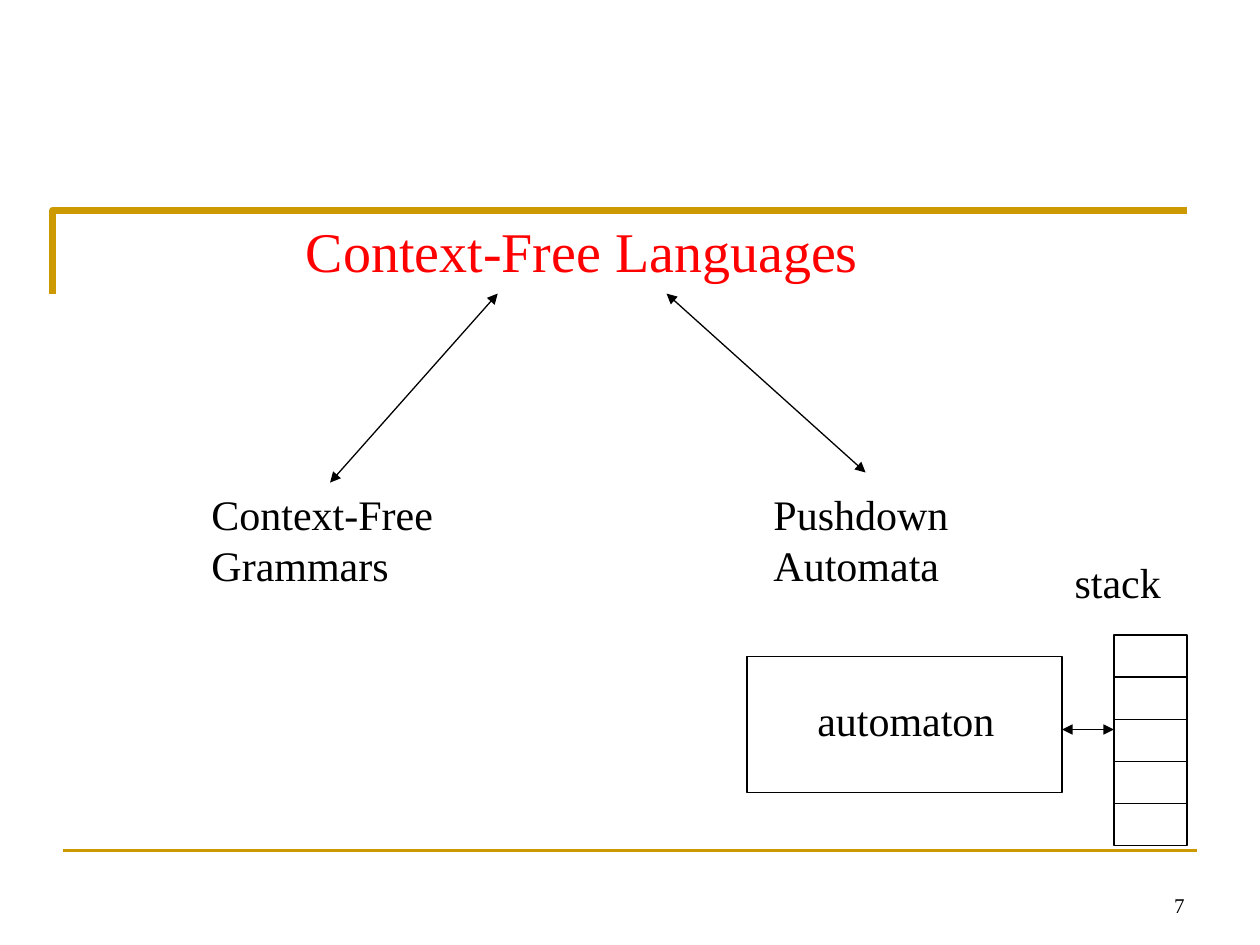
from dataclasses import dataclass

from pptx import Presentation
from pptx.dml.color import RGBColor
from pptx.enum import shapes, text
from pptx.oxml.ns import qn
from pptx.util import Inches, Pt
from lxml import etree


@dataclass(frozen=True)
class Theme:
    font: str = "Times New Roman"
    ink: str = "000000"
    gold: str = "CC9900"
    red: str = "FF0000"
    title: float = 32
    body: float = 24
    small: float = 12
    thin: float = 0.75


@dataclass(frozen=True)
class Box:
    x: float
    y: float
    w: float
    h: float

    def emu(self) -> list:
        return [Inches(v) for v in (self.x, self.y, self.w, self.h)]


@dataclass(frozen=True)
class Line:
    x1: float
    y1: float
    x2: float
    y2: float


T = Theme()


def style_line(sp, color: str = T.ink, width: float = T.thin) -> None:
    sp.line.color.rgb = RGBColor.from_string(color)
    sp.line.width = Pt(width)


def add_text(slide, box: Box, content: str, *, size: float = T.body, color: str = T.ink,
             align=text.PP_ALIGN.LEFT, anchor=text.MSO_ANCHOR.TOP) -> None:
    tf = slide.shapes.add_textbox(*box.emu()).text_frame
    tf.word_wrap = True
    tf.vertical_anchor = anchor
    tf.text = content
    for p in tf.paragraphs:
        p.alignment = align
        for r in p.runs:
            r.font.name, r.font.size = T.font, Pt(size)
            r.font.color.rgb = RGBColor.from_string(color)


def add_line(slide, line: Line, *, color: str = T.ink, width: float = T.thin,
             arrows: bool = False) -> None:
    ends = [Inches(v) for v in (line.x1, line.y1, line.x2, line.y2)]
    c = slide.shapes.add_connector(shapes.MSO_CONNECTOR.STRAIGHT, *ends)
    style_line(c, color, width)
    if arrows:
        for tag in ("a:headEnd", "a:tailEnd"):
            etree.SubElement(c.line._get_or_add_ln(), qn(tag), type="triangle")
    etree.SubElement(c._element.spPr, qn("a:effectLst"))


def add_rect(slide, box: Box) -> None:
    sp = slide.shapes.add_shape(shapes.MSO_SHAPE.RECTANGLE, *box.emu())
    sp.shadow.inherit = False
    sp.fill.background()
    style_line(sp)


def add_frame(slide) -> None:
    """Gold corner above the title and gold rule above the footer."""
    fb = slide.shapes.build_freeform(Inches(0.42), Inches(2.33))
    fb.add_line_segments([(Inches(0.42), Inches(1.67)), (Inches(9.42), Inches(1.67))],
                         close=False)
    sp = fb.convert_to_shape()
    sp.shadow.inherit = False
    sp.fill.background()
    style_line(sp, T.gold, 4)
    add_line(slide, Line(0.5, 6.75, 9.5, 6.75), color=T.gold, width=2)


def add_stack(slide, box: Box, cells: int) -> None:
    add_rect(slide, box)
    for i in range(1, cells):
        y = box.y + i * box.h / cells
        add_line(slide, Line(box.x, y, box.x + box.w, y))


def main() -> None:
    prs = Presentation()
    prs.slide_width, prs.slide_height = Inches(10), Inches(7.5)
    slide = prs.slides.add_slide(prs.slide_layouts[6])

    # Frame and page number
    add_frame(slide)
    add_text(slide, Box(7.17, 6.83, 2.33, 0.5), "7", size=T.small,
             align=text.PP_ALIGN.RIGHT, anchor=text.MSO_ANCHOR.BOTTOM)

    # Languages and their two equivalent descriptions
    add_text(slide, Box(2.33, 1.67, 4.63, 0.64), "Context-Free Languages",
             size=T.title, color=T.red)
    add_text(slide, Box(6.04, 3.83, 2.21, 1.27), "Pushdown\nAutomata")
    add_text(slide, Box(1.58, 3.83, 3.02, 1.27), "Context-Free\nGrammars")
    for arrow in (Line(3.95, 2.33, 2.62, 3.83), Line(5.29, 2.33, 6.87, 3.75)):
        add_line(slide, arrow, arrows=True)

    # Automaton with its stack
    automaton, stack = Box(5.93, 5.21, 2.5, 1.08), Box(8.84, 5.04, 0.58, 1.67)
    add_rect(slide, automaton)
    add_stack(slide, stack, cells=5)
    add_line(slide, Line(automaton.x + automaton.w, 5.79, stack.x, 5.79), arrows=True)
    add_text(slide, Box(8.43, 4.37, 1.32, 0.63), "stack")
    add_text(slide, Box(6.38, 5.46, 1.62, 0.5), "automaton", align=text.PP_ALIGN.CENTER)

    prs.save("out.pptx")


if __name__ == "__main__":
    main()
